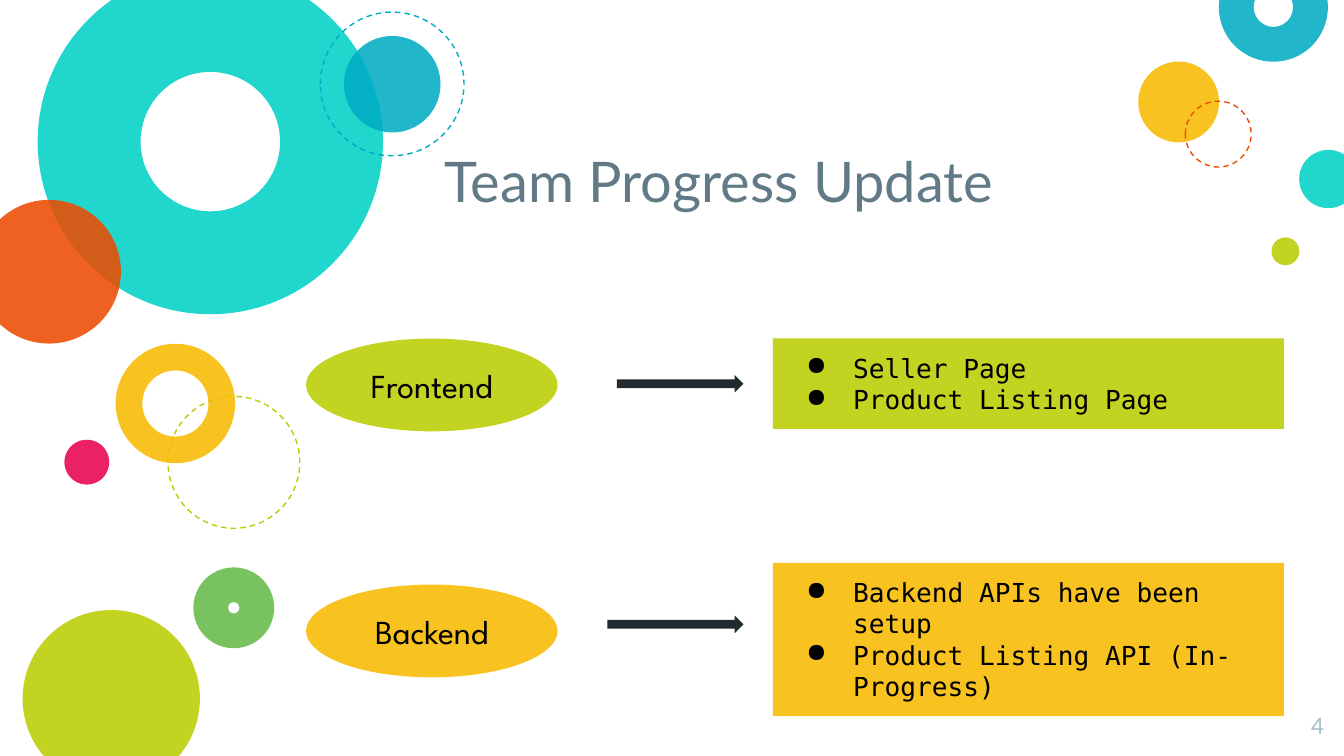
from lxml.etree import SubElement
from pptx import Presentation
from pptx.dml.color import RGBColor
from pptx.enum.dml import MSO_LINE
from pptx.enum.shapes import MSO_SHAPE as Preset
from pptx.enum.text import MSO_ANCHOR as Anchor, MSO_AUTO_SIZE as AutoSize, PP_ALIGN as Align
from pptx.oxml.ns import qn
from pptx.util import Pt

TURQUOISE = RGBColor(0x00, 0xD1, 0xC6)
BLUE = RGBColor(0x00, 0xAC, 0xC3)
ORANGE = RGBColor(0xED, 0x4A, 0x00)
YELLOW = RGBColor(0xF8, 0xBB, 0x00)
LIME = RGBColor(0xBB, 0xCD, 0x00)
GREEN = RGBColor(0x65, 0xBB, 0x48)
PINK = RGBColor(0xE8, 0x00, 0x4C)
SLATE = RGBColor(0x61, 0x7A, 0x86)
PALE_BLUE = RGBColor(0xA1, 0xBE, 0xCC)
DARK = RGBColor(0x21, 0x2A, 0x2E)
BLACK = RGBColor(0x00, 0x00, 0x00)

presentation = Presentation()
presentation.slide_width, presentation.slide_height = Pt(720), Pt(405)
slide = presentation.slides.add_slide(presentation.slide_layouts[6])


def draw_shape(preset, left, top, width, height, color, alpha=87, dashed=False):
    shape = slide.shapes.add_shape(preset, Pt(left), Pt(top), Pt(width), Pt(height))
    shape.shadow.inherit = False
    if dashed:
        shape.fill.background()
        shape.line.color.rgb = color
        shape.line.width = Pt(0.75)
        shape.line.dash_style = MSO_LINE.DASH
    else:
        shape.line.fill.background()
        shape.fill.solid()
        shape.fill.fore_color.rgb = color
        color_element = shape.fill._xPr.find(".//" + qn("a:srgbClr"))
        SubElement(color_element, qn("a:alpha"), val=str(alpha * 1000))
    return shape


def write_text(shape, text, font="Lato", size=14, color=BLACK, align=Align.LEFT,
               anchor=Anchor.TOP, bullet=None):
    frame = shape.text_frame
    frame.word_wrap = True
    frame.vertical_anchor = anchor
    frame.margin_left = frame.margin_right = Pt(7.2)
    frame.margin_top = frame.margin_bottom = Pt(7.2)
    frame.text = text
    for paragraph in frame.paragraphs:
        paragraph.alignment = align
        run_font = paragraph.runs[0].font
        run_font.name, run_font.size, run_font.color.rgb = font, Pt(size), color
        if bullet:
            properties = paragraph._p.get_or_add_pPr()
            properties.set("marL", str(Pt(36)))
            properties.set("indent", str(Pt(-25.2)))
            bullet_color = SubElement(properties, qn("a:buClr"))
            SubElement(bullet_color, qn("a:srgbClr"), val=str(color))
            SubElement(properties, qn("a:buChar"), char=bullet)


# Decorative circles: left, top, diameter, color, ring thickness, dashed
circles = [
    (90, 212.4, 70.6, LIME, None, True),
    (20.2, -16.6, 185, TURQUOISE, 0.298, False),
    (-12.2, 107.1, 77, ORANGE, None, False),
    (184.3, 19.3, 51.7, BLUE, None, False),
    (62, 184.2, 64, YELLOW, 0.223, False),
    (12.1, 326.8, 95, LIME, None, False),
    (103.6, 304, 43.3, GREEN, 0.429, False),
    (34.5, 235.6, 24, PINK, None, False),
    (609.8, 33, 43.3, YELLOW, None, False),
    (696, 80.3, 31.2, TURQUOISE, None, False),
    (653, -25.3, 58.4, BLUE, 0.319, False),
    (681.2, 127.2, 14.9, LIME, None, False),
    (171.6, 6.5, 77, BLUE, None, True),
    (635, 54.2, 35.3, ORANGE, None, True),
]
for left, top, diameter, color, thickness, dashed in circles:
    preset = Preset.DONUT if thickness else Preset.OVAL
    circle = draw_shape(preset, left, top, diameter, diameter, color, dashed=dashed)
    if thickness:
        circle.adjustments[0] = thickness

# Title and slide number
title = slide.shapes.add_textbox(Pt(231.1), Pt(71.3), Pt(415.4), Pt(50.4))
write_text(title, "Team Progress Update", size=30, color=SLATE, anchor=Anchor.BOTTOM)
number = slide.shapes.add_textbox(Pt(679.7), Pt(374.4), Pt(36.7), Pt(31))
write_text(number, "4", size=12, color=PALE_BLUE, align=Align.RIGHT)

# Teams: name, color, oval top, arrow left and top, box top and height, progress
teams = [
    ("Frontend", LIME, 181.4, 330.5, 200.9, 181.3, 48.5,
     "Seller Page\nProduct Listing Page"),
    ("Backend", YELLOW, 313.2, 325.4, 329.8, 301.6, 82.1,
     "Backend APIs have been setup\nProduct Listing API (In-Progress)"),
]
for name, color, oval_top, arrow_left, arrow_top, box_top, box_height, progress in teams:
    oval = draw_shape(Preset.OVAL, 164, oval_top, 134.7, 49.7, color)
    write_text(oval, name, font="League Spartan", size=18, align=Align.CENTER,
               anchor=Anchor.MIDDLE)
    draw_shape(Preset.RIGHT_ARROW, arrow_left, arrow_top, 398.3 - arrow_left, 9.4,
               DARK, alpha=100)
    box = draw_shape(Preset.RECTANGLE, 414, box_top, 273.8, box_height, color)
    write_text(box, progress, font="DejaVu Sans Mono", bullet="●")
    box.text_frame.auto_size = AutoSize.SHAPE_TO_FIT_TEXT

presentation.save("out.pptx")
